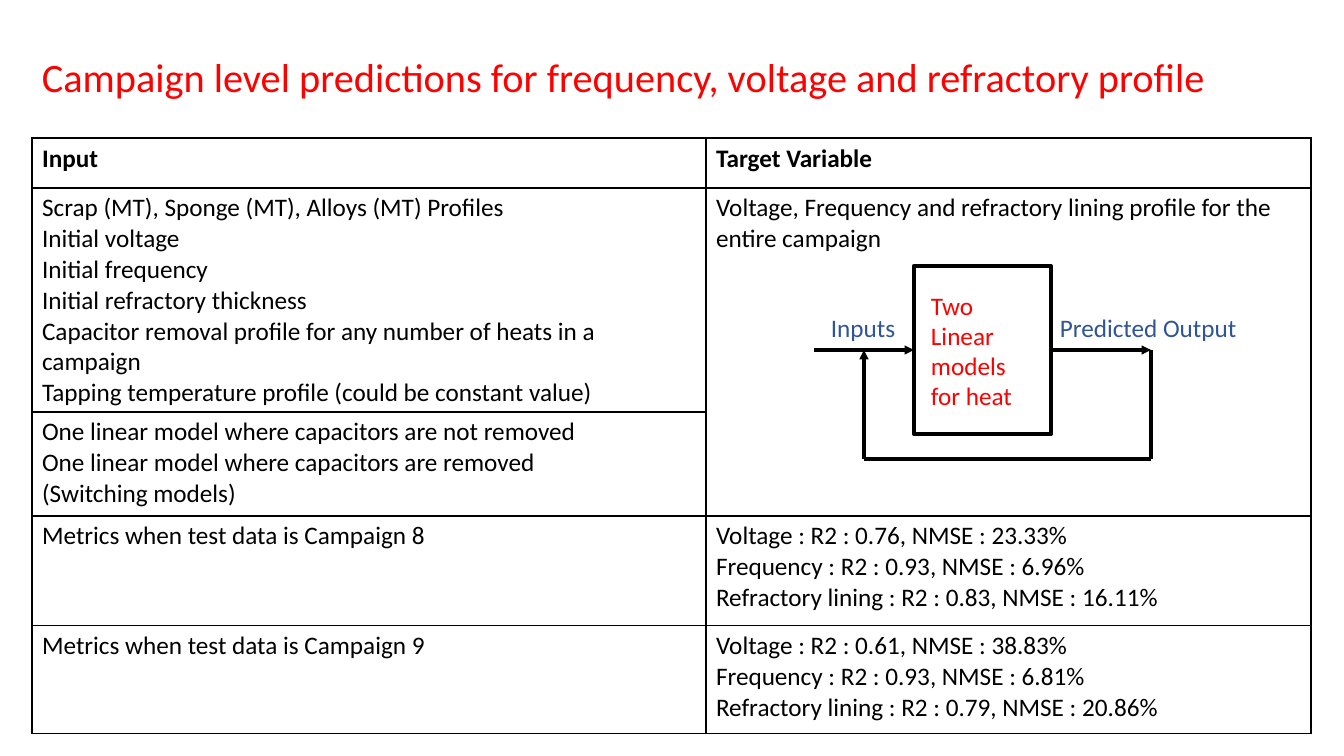
"""Build the slide on campaign level predictions with its table and feedback diagram."""
import pptx
import pptx.dml.color
import pptx.enum.shapes
import pptx.enum.text
import pptx.oxml
import pptx.oxml.ns
import pptx.util

BLACK = pptx.dml.color.RGBColor(0x00, 0x00, 0x00)
WHITE = pptx.dml.color.RGBColor(0xFF, 0xFF, 0xFF)
RED = pptx.dml.color.RGBColor(0xFF, 0x00, 0x00)
BLUE = pptx.dml.color.RGBColor(0x2F, 0x55, 0x97)

TITLE = "Campaign level predictions for frequency, voltage and refractory profile"
ROWS = [
    (50, ["Input"], ["Target Variable"]),
    (224,
     ["Scrap (MT), Sponge (MT), Alloys (MT) Profiles",
      "Initial voltage",
      "Initial frequency",
      "Initial refractory thickness",
      "Capacitor removal profile for any number of heats in a campaign",
      "Tapping temperature profile (could be constant value)"],
     ["Voltage, Frequency and refractory lining profile for the entire campaign"]),
    (104,
     ["One linear model where capacitors are not removed",
      "One linear model where capacitors are removed",
      "(Switching models)"],
     []),
    (110,
     ["Metrics when test data is Campaign 8"],
     ["Voltage : R2 : 0.76, NMSE : 23.33%",
      "Frequency : R2 : 0.93, NMSE : 6.96%",
      "Refractory lining : R2 : 0.83, NMSE : 16.11%"]),
    (108,
     ["Metrics when test data is Campaign 9"],
     ["Voltage : R2 : 0.61, NMSE : 38.83%",
      "Frequency : R2 : 0.93, NMSE : 6.81%",
      "Refractory lining : R2 : 0.79, NMSE : 20.86%"]),
]
COLUMN_WIDTHS = [674, 605]
TABLE_LEFT, TABLE_TOP = 32, 138

MODEL_BOX = (914, 266, 137, 168)
INPUT_X, JOIN_X, OUTPUT_X, FEEDBACK_Y = 814, 864, 1151, 459
LABELS = [
    ("Inputs", (821, 307, 86, 40), BLUE, False),
    ("Two Linear models for heat", (921, 285, 123, 132), RED, True),
    ("Predicted Output", (1050, 307, 199, 40), BLUE, False),
]


def px(*lengths):
    """Turn pixel lengths into EMU."""
    return [pptx.util.Emu(round(length * 914400 / 100.8)) for length in lengths]


def write(frame, lines, size=18, color=BLACK, bold=False):
    """Fill a text frame with one paragraph for each line."""
    frame.text = "\n".join(lines)
    look = {"name": "Calibri", "size": pptx.util.Pt(size), "bold": bold}
    for paragraph in frame.paragraphs:
        for run in paragraph.runs:
            for key, value in look.items():
                setattr(run.font, key, value)
            run.font.color.rgb = color


def add_label(slide, text, place, color, wrap, size=18):
    """Add a text box and return its frame."""
    frame = slide.shapes.add_textbox(*px(*place)).text_frame
    write(frame, [text], size, color)
    frame.word_wrap = wrap
    return frame


def border_cell(cell):
    """Draw a thin black line on every side of a cell."""
    properties = cell._tc.get_or_add_tcPr()
    for side in ("lnL", "lnR", "lnT", "lnB"):
        properties.append(pptx.oxml.parse_xml(
            f'<a:{side} {pptx.oxml.ns.nsdecls("a")} w="12700"><a:solidFill>'
            f'<a:srgbClr val="{BLACK}"/></a:solidFill></a:{side}>'))


def add_table(slide):
    """Add the table of inputs, targets and metrics."""
    heights = [row[0] for row in ROWS]
    table = slide.shapes.add_table(
        len(ROWS), len(COLUMN_WIDTHS),
        *px(TABLE_LEFT, TABLE_TOP, sum(COLUMN_WIDTHS), sum(heights))).table
    table.first_row = table.horz_banding = False
    for column, width in zip(table.columns, px(*COLUMN_WIDTHS)):
        column.width = width
    for row, height in zip(table.rows, px(*heights)):
        row.height = height
    for r, (_, *texts) in enumerate(ROWS):
        for c, lines in enumerate(texts):
            cell = table.cell(r, c)
            write(cell.text_frame, lines, bold=r == 0)
            border_cell(cell)
            cell.fill.background()
    table.cell(1, 1).merge(table.cell(2, 1))


def add_wire(slide, start, end, arrow):
    """Add a straight wire, with an arrowhead at its end if asked."""
    wire = slide.shapes.add_connector(
        pptx.enum.shapes.MSO_CONNECTOR.STRAIGHT, *px(*start, *end))
    wire.line.color.rgb = BLACK
    wire.line.width = pptx.util.Pt(2.25)
    if arrow:
        wire.line._get_or_add_ln().append(pptx.oxml.parse_xml(
            f'<a:tailEnd {pptx.oxml.ns.nsdecls("a")} type="triangle"/>'))
    wire._element.spPr.append(pptx.oxml.parse_xml(
        f'<a:effectLst {pptx.oxml.ns.nsdecls("a")}/>'))
    return wire


def add_diagram(slide):
    """Add the model box, its wires, the feedback loop and the labels."""
    left, top, width, height = MODEL_BOX
    wire_y = top + height // 2
    model = slide.shapes.add_shape(
        pptx.enum.shapes.MSO_SHAPE.RECTANGLE, *px(*MODEL_BOX))
    model.shadow.inherit = False
    model.fill.solid()
    model.fill.fore_color.rgb = WHITE
    model.line.color.rgb = BLACK
    model.line.width = pptx.util.Pt(3)

    inflow = add_wire(slide, (INPUT_X, wire_y), (left, wire_y), True)
    inflow.end_connect(model, 1)
    outflow = add_wire(slide, (left + width, wire_y), (OUTPUT_X, wire_y), True)
    outflow.begin_connect(model, 3)

    loop = [(OUTPUT_X, wire_y), (OUTPUT_X, FEEDBACK_Y),
            (JOIN_X, FEEDBACK_Y), (JOIN_X, wire_y)]
    for start, end in zip(loop, loop[1:]):
        add_wire(slide, start, end, end == loop[-1])
    for label in LABELS:
        add_label(slide, *label)


def main():
    """Build and save the slide."""
    deck = pptx.Presentation()
    deck.slide_width, deck.slide_height = px(1344, 756)
    slide = deck.slides.add_slide(deck.slide_layouts[6])
    title = add_label(slide, TITLE, (32, 40, 1279, 78), RED, True, 28.8)
    title.vertical_anchor = pptx.enum.text.MSO_ANCHOR.MIDDLE
    title.paragraphs[0].line_spacing = 0.9
    add_table(slide)
    add_diagram(slide)
    deck.save("out.pptx")


if __name__ == "__main__":
    main()
